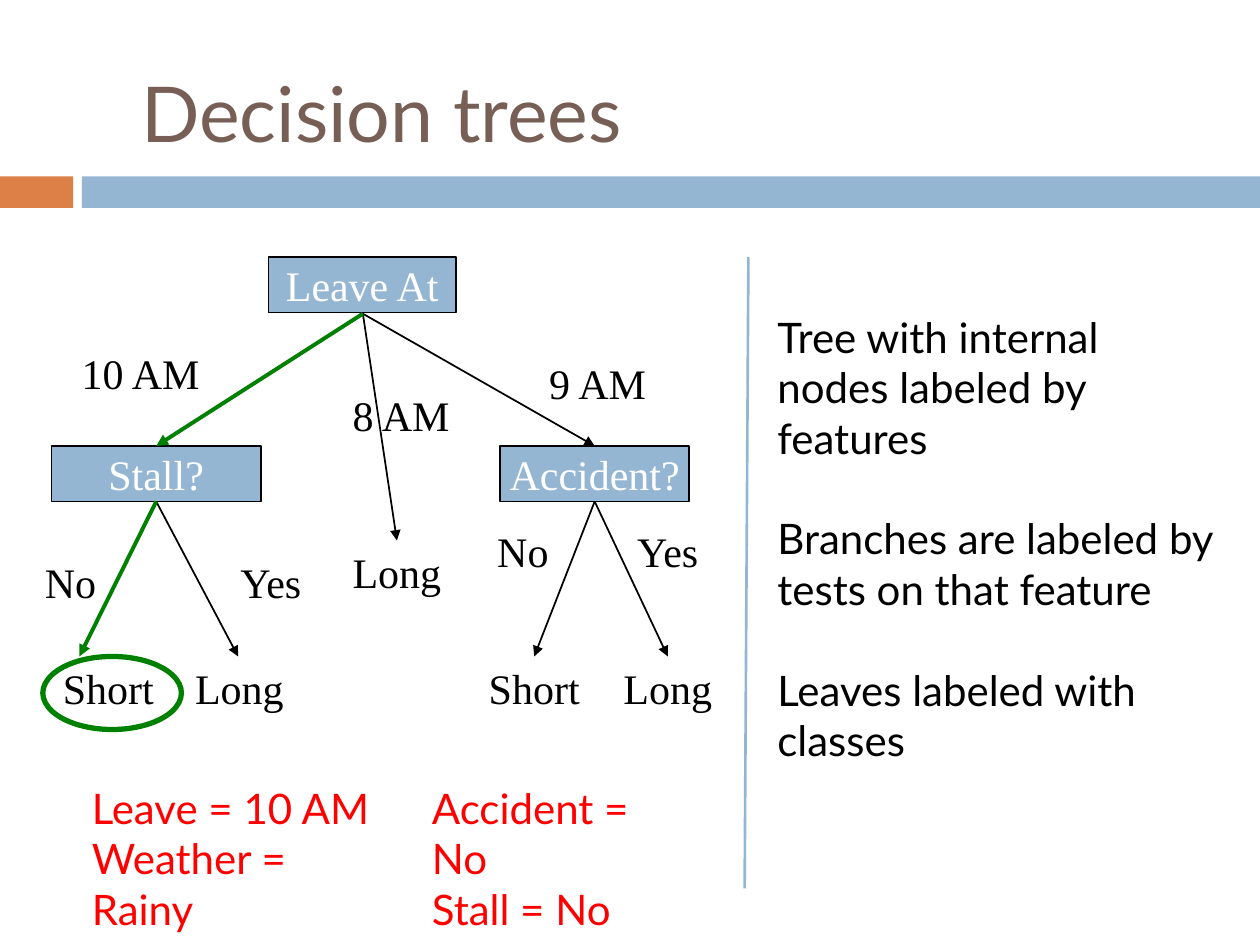
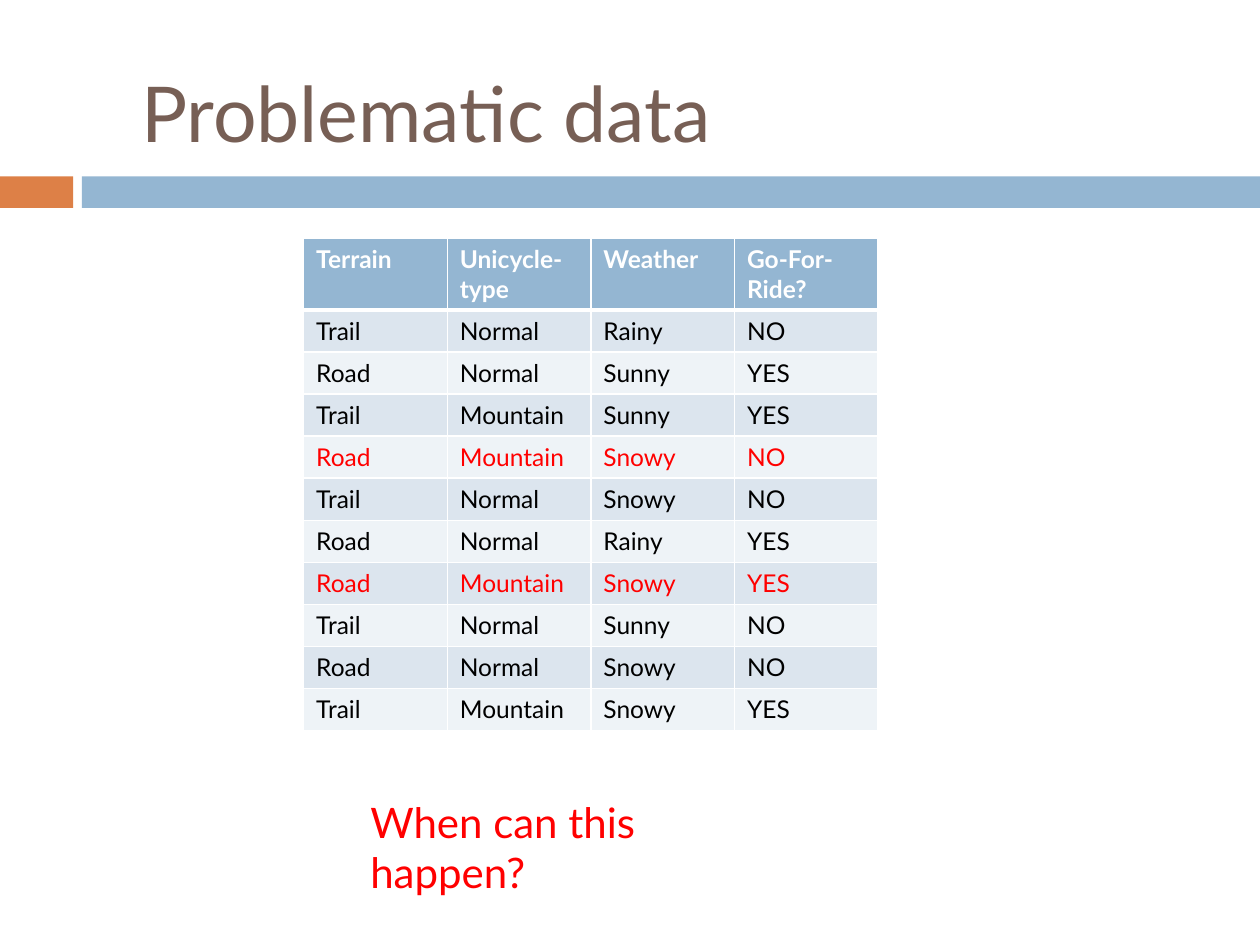
from lxml.etree import SubElement
from pptx import Presentation
from pptx.dml.color import RGBColor
from pptx.enum.shapes import MSO_CONNECTOR, MSO_SHAPE
from pptx.enum.text import MSO_ANCHOR, MSO_AUTO_SIZE, PP_ALIGN
from pptx.oxml import parse_xml
from pptx.oxml.ns import nsdecls, qn
from pptx.util import Inches, Pt

BLUE = RGBColor(0x94, 0xB6, 0xD2)
ORANGE = RGBColor(0xDD, 0x80, 0x47)
BROWN = RGBColor(0x77, 0x5F, 0x55)
GREEN = RGBColor(0x00, 0x80, 0x00)
RED = RGBColor(0xFF, 0x00, 0x00)
BLACK = RGBColor(0x00, 0x00, 0x00)
WHITE = RGBColor(0xFF, 0xFF, 0xFF)
ROW_DARK = RGBColor(0xDC, 0xE5, 0xEE)
ROW_LIGHT = RGBColor(0xEE, 0xF3, 0xF7)

SANS = "Lato"
SERIF = "Times New Roman"
TITLE_AND_BODY, TITLE_ONLY = 1, 5


def add_run(p, text, size, color, font=SANS, bold=False):
    r = p.add_run()
    r.text = text
    r.font.size = Pt(size)
    r.font.name = font
    r.font.color.rgb = color
    r.font.bold = bold


def place(shape, x, y, w, h):
    shape.left, shape.top = Inches(x), Inches(y)
    shape.width, shape.height = Inches(w), Inches(h)


def add_shape(s, kind, x, y, w, h, fill=None, line=None, width=1):
    shape = s.shapes.add_shape(kind, Inches(x), Inches(y), Inches(w), Inches(h))
    shape.shadow.inherit = False
    if fill is None:
        shape.fill.background()
    else:
        shape.fill.solid()
        shape.fill.fore_color.rgb = fill
    if line is None:
        shape.line.fill.background()
    else:
        shape.line.color.rgb = line
        shape.line.width = Pt(width)
    return shape


def add_bands(prs, s):
    tree = prs.slide_master.shapes.element
    for i, (x, w, color) in enumerate([(0, 0.58, ORANGE), (0.65, 9.35, BLUE)]):
        band = add_shape(s, MSO_SHAPE.RECTANGLE, x, 1.4, w, 0.25, color)
        band.element.xpath("./p:nvSpPr/p:cNvPr")[0].set("id", str(20 + i))
        tree.insert(2 + i, band.element)


def add_slide(prs, layout, title):
    s = prs.slides.add_slide(prs.slide_layouts[layout])
    place(s.shapes.title, 1.02, 0.11, 7.83, 1.55)
    tf = s.shapes.title.text_frame
    tf.auto_size = MSO_AUTO_SIZE.NONE
    tf.vertical_anchor = MSO_ANCHOR.MIDDLE
    p = tf.paragraphs[0]
    p.alignment = PP_ALIGN.LEFT
    add_run(p, title, 44, BROWN)
    return s


def add_text(s, x, y, w, h, lines, color=BLACK, font=SANS, align=PP_ALIGN.LEFT):
    tf = s.shapes.add_textbox(Inches(x), Inches(y), Inches(w), Inches(h)).text_frame
    tf.word_wrap = True
    for i, line in enumerate(lines):
        p = tf.add_paragraph() if i else tf.paragraphs[0]
        p.alignment = align
        add_run(p, line, 24, color, font)


def add_label(s, text, x, y, w=1.04, align=PP_ALIGN.CENTER):
    add_text(s, x, y, w, 0.5, [text], font=SERIF, align=align)


def add_node(s, text, x, y, w):
    node = add_shape(s, MSO_SHAPE.RECTANGLE, x, y, w, 0.44, BLUE, BLACK)
    tf = node.text_frame
    tf.word_wrap = False
    tf.vertical_anchor = MSO_ANCHOR.MIDDLE
    p = tf.paragraphs[0]
    p.alignment = PP_ALIGN.CENTER
    add_run(p, text, 24, WHITE, SERIF)


def add_line(s, start, end, color=BLACK, width=1, arrow=True):
    x1, y1, x2, y2 = [Inches(v) for v in (*start, *end)]
    c = s.shapes.add_connector(MSO_CONNECTOR.STRAIGHT, x1, y1, x2, y2)
    c.line.color.rgb = color
    c.line.width = Pt(width)
    if arrow:
        SubElement(c.line._get_or_add_ln(), qn("a:tailEnd"), type="triangle")
    SubElement(c.element.spPr, qn("a:effectLst"))


def add_body(s, x, y, w, h, items):
    body = s.placeholders[1]
    place(body, x, y, w, h)
    tf = body.text_frame
    tf.auto_size = MSO_AUTO_SIZE.NONE
    for i, item in enumerate(items):
        p = tf.add_paragraph() if i else tf.paragraphs[0]
        p.space_before = Pt(28.8 if i else 0)
        add_run(p, item, 24, BLACK)
        pPr = p._p.get_or_add_pPr()
        pPr.set("marL", "0")
        pPr.set("indent", "0")
        SubElement(pPr, qn("a:buNone"))


def set_borders(cell, top, bottom):
    tcPr = cell._tc.get_or_add_tcPr()
    widths = {"lnL": 1, "lnR": 1, "lnT": top, "lnB": bottom}
    for i, (side, width) in enumerate(widths.items()):
        tcPr.insert(i, parse_xml(
            f'<a:{side} {nsdecls("a")} w="{Pt(width)}"><a:solidFill>'
            f'<a:srgbClr val="{WHITE}"/></a:solidFill></a:{side}>'))


def add_data_table(s, x, y, col_w, header_h, row_h, rows, marked):
    w, h = col_w * len(rows[0]), header_h + row_h * (len(rows) - 1)
    table = s.shapes.add_table(len(rows), len(rows[0]), Inches(x), Inches(y),
                               Inches(w), Inches(h)).table
    for col in table.columns:
        col.width = Inches(col_w)
    for i, values in enumerate(rows):
        header = i == 0
        table.rows[i].height = Inches(header_h if header else row_h)
        fill = BLUE if header else ROW_DARK if i % 2 else ROW_LIGHT
        color = WHITE if header else RED if i in marked else BLACK
        for j, value in enumerate(values):
            cell = table.cell(i, j)
            cell.fill.solid()
            cell.fill.fore_color.rgb = fill
            set_borders(cell, 3 if i == 1 else 1, 3 if header else 1)
            add_run(cell.text_frame.paragraphs[0], value, 14, color, bold=header)


def build_tree_slide(prs):
    s = add_slide(prs, TITLE_AND_BODY, "Decision trees")
    add_bands(prs, s)
    add_body(s, 6.07, 2.42, 3.71, 3.74, [
        "Tree with internal nodes labeled by features",
        "Branches are labeled by tests on that feature",
        "Leaves labeled with classes",
    ])

    add_node(s, "Leave At", 2.13, 2.04, 1.49)
    add_node(s, "Stall?", 0.41, 3.54, 1.66)
    add_node(s, "Accident?", 3.97, 3.54, 1.5)

    root, stall, accident = (2.88, 2.49), (1.24, 3.98), (4.72, 3.98)
    for start, end in [
        (root, (4.72, 3.54)),
        (root, (3.15, 4.29)),
        (stall, (1.89, 5.21)),
        (accident, (4.24, 5.21)),
        (accident, (5.3, 5.21)),
    ]:
        add_line(s, start, end)
    add_line(s, root, (1.24, 3.54), GREEN, 2.25)
    add_line(s, stall, (0.63, 5.21), GREEN, 2.25)
    add_line(s, (5.94, 2.04), (5.91, 7.05), BLUE, 1.5, arrow=False)

    add_label(s, "10 AM", 0.55, 2.71, 1.19, PP_ALIGN.LEFT)
    add_label(s, "8 AM", 2.7, 3.04, align=PP_ALIGN.LEFT)
    add_label(s, "9 AM", 4.26, 2.79, align=PP_ALIGN.LEFT)
    for text, x, y in [
        ("No", 0.04, 4.37), ("Yes", 1.63, 4.37),
        ("No", 3.63, 4.12), ("Yes", 4.78, 4.12),
        ("Long", 2.63, 4.29),
        ("Short", 0.34, 5.21), ("Long", 1.38, 5.21),
        ("Short", 3.72, 5.21), ("Long", 4.78, 5.21),
    ]:
        add_label(s, text, x, y)
    add_shape(s, MSO_SHAPE.OVAL, 0.34, 5.21, 1.1, 0.58, line=GREEN, width=3)

    add_text(s, 0.63, 6.16, 2.51, 0.91, ["Leave = 10 AM", "Weather = Rainy"], RED)
    add_text(s, 3.33, 6.16, 2.13, 0.91, ["Accident = No", "Stall = No"], RED)


def build_data_slide(prs):
    s = add_slide(prs, TITLE_ONLY, "Problematic data")
    rows = [
        ("Terrain", "Unicycle-type", "Weather", "Go-For-Ride?"),
        ("Trail", "Normal", "Rainy", "NO"),
        ("Road", "Normal", "Sunny", "YES"),
        ("Trail", "Mountain", "Sunny", "YES"),
        ("Road", "Mountain", "Snowy", "NO"),
        ("Trail", "Normal", "Snowy", "NO"),
        ("Road", "Normal", "Rainy", "YES"),
        ("Road", "Mountain", "Snowy", "YES"),
        ("Trail", "Normal", "Sunny", "NO"),
        ("Road", "Normal", "Snowy", "NO"),
        ("Trail", "Mountain", "Snowy", "YES"),
    ]
    add_data_table(s, 2.41, 1.89, 1.14, 0.57, 0.33, rows, marked=(4, 7))
    add_text(s, 2.84, 6.27, 3.32, 0.5, ["When can this happen?"], RED)


def main():
    prs = Presentation()
    prs.slide_width, prs.slide_height = Inches(10), Inches(7.5)
    build_tree_slide(prs)
    build_data_slide(prs)
    prs.save("out.pptx")


main()
